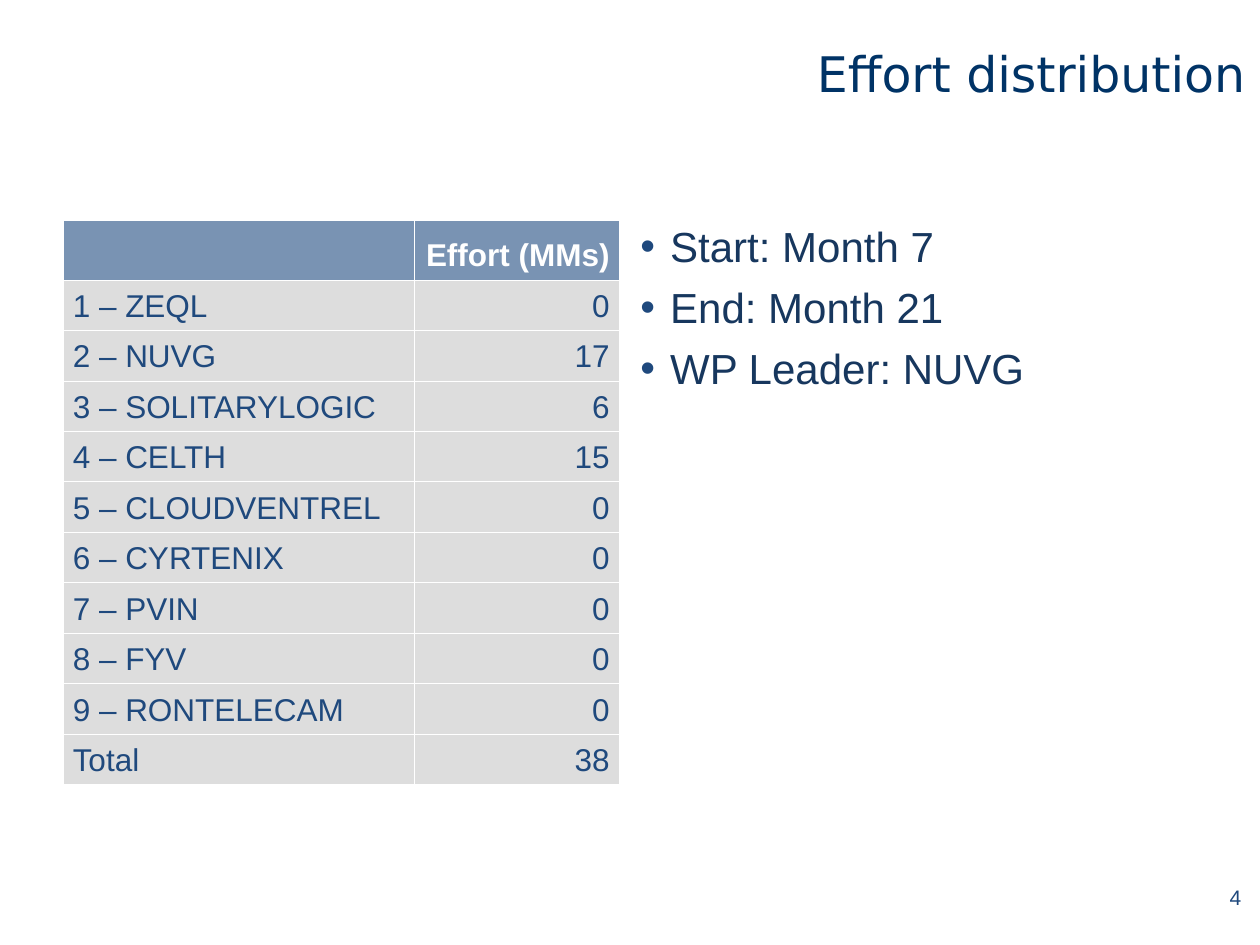
"""Build the effort distribution slide with its partner table and key dates."""
from lxml import etree
from pptx import Presentation
from pptx.dml.color import RGBColor
from pptx.enum.text import MSO_ANCHOR, PP_ALIGN
from pptx.oxml.ns import qn
from pptx.util import Pt

LEFT, RIGHT = PP_ALIGN.LEFT, PP_ALIGN.RIGHT
TOP, MIDDLE, BOTTOM = MSO_ANCHOR.TOP, MSO_ANCHOR.MIDDLE, MSO_ANCHOR.BOTTOM
BLANK_LAYOUT = 6

TITLE_BLUE = RGBColor(0x00, 0x33, 0x66)
HEADER_BLUE = RGBColor(0x79, 0x93, 0xB3)
TEXT_BLUE = RGBColor(0x1F, 0x49, 0x7D)
BULLET_TEXT = RGBColor(0x17, 0x37, 0x5E)
ROW_GREY = RGBColor(0xDD, 0xDD, 0xDD)
WHITE = RGBColor(0xFF, 0xFF, 0xFF)

EFFORT = [
    ("", "Effort (MMs)"),
    ("1 – ZEQL", "0"),
    ("2 – NUVG", "17"),
    ("3 – SOLITARYLOGIC", "6"),
    ("4 – CELTH", "15"),
    ("5 – CLOUDVENTREL", "0"),
    ("6 – CYRTENIX", "0"),
    ("7 – PVIN", "0"),
    ("8 – FYV", "0"),
    ("9 – RONTELECAM", "0"),
    ("Total", "38"),
]
COLUMN_WIDTHS = (201, 117)
HEADER_HEIGHT, ROW_HEIGHT = 34, 28.8
KEY_FACTS = ["Start: Month 7", "End: Month 21", "WP Leader: NUVG"]


def write_paragraph(paragraph, text, size=18, color=TEXT_BLUE, font="Arial",
                    bold=False, align=LEFT, before=0, spacing=None):
    paragraph.alignment = align
    paragraph.space_before = Pt(before)
    if spacing:
        paragraph.line_spacing = spacing
    run = paragraph.add_run()
    run.text = text
    run.font.size = Pt(size)
    run.font.name = font
    run.font.bold = bold
    run.font.color.rgb = color


def add_bullet(paragraph, color, indent):
    properties = paragraph._p.get_or_add_pPr()
    properties.set("marL", str(Pt(indent)))
    properties.set("indent", str(-Pt(indent)))
    bullet_color = etree.SubElement(properties, qn("a:buClr"))
    etree.SubElement(bullet_color, qn("a:srgbClr"), val=str(color))
    etree.SubElement(properties, qn("a:buFont"), typeface="Arial")
    etree.SubElement(properties, qn("a:buChar"), char="•")


def add_text(slide, box, lines, anchor=TOP, margins=(0, 0), bullet=None, **style):
    frame = slide.shapes.add_textbox(*map(Pt, box)).text_frame
    frame.word_wrap = True
    frame.vertical_anchor = anchor
    frame.margin_left = frame.margin_right = Pt(margins[0])
    frame.margin_top = frame.margin_bottom = Pt(margins[1])
    for index, line in enumerate(lines):
        paragraph = frame.add_paragraph() if index else frame.paragraphs[0]
        write_paragraph(paragraph, line, **style)
        if bullet:
            add_bullet(paragraph, bullet, indent=17)


def set_borders(cell, color, width):
    properties = cell._tc.get_or_add_tcPr()
    for position, side in enumerate(("a:lnL", "a:lnR", "a:lnT", "a:lnB")):
        border = etree.Element(qn(side), w=str(Pt(width)))
        fill = etree.SubElement(border, qn("a:solidFill"))
        etree.SubElement(fill, qn("a:srgbClr"), val=str(color))
        properties.insert(position, border)


def add_effort_table(slide, left, top):
    heights = [HEADER_HEIGHT] + [ROW_HEIGHT] * (len(EFFORT) - 1)
    table = slide.shapes.add_table(
        len(EFFORT), len(COLUMN_WIDTHS), Pt(left), Pt(top),
        Pt(sum(COLUMN_WIDTHS)), Pt(sum(heights))).table
    for column, width in zip(table.columns, COLUMN_WIDTHS):
        column.width = Pt(width)
    for row_index, (row, height) in enumerate(zip(table.rows, heights)):
        row.height = Pt(height)
        header = row_index == 0
        for cell, text, align in zip(row.cells, EFFORT[row_index], (LEFT, RIGHT)):
            cell.fill.solid()
            cell.fill.fore_color.rgb = HEADER_BLUE if header else ROW_GREY
            cell.vertical_anchor = BOTTOM
            cell.margin_left = cell.margin_right = Pt(5.6)
            cell.margin_top = cell.margin_bottom = Pt(3.6)
            set_borders(cell, WHITE, 0.45)
            if text:
                write_paragraph(cell.text_frame.paragraphs[0], text, bold=header,
                                color=WHITE if header else TEXT_BLUE,
                                align=align, before=4.5)


def main():
    presentation = Presentation()
    presentation.slide_width, presentation.slide_height = Pt(720), Pt(540)
    slide = presentation.slides.add_slide(presentation.slide_layouts[BLANK_LAYOUT])
    add_text(slide, (281.5, 8.6, 430, 49.7), ["Effort distribution"], anchor=MIDDLE,
             size=28, font="DejaVu Sans", color=TITLE_BLUE, align=RIGHT,
             before=7, spacing=1.5)
    add_effort_table(slide, 36, 126)
    add_text(slide, (366, 126, 318, 356.4), KEY_FACTS, bullet=TEXT_BLUE,
             size=24, color=BULLET_TEXT, before=6)
    add_text(slide, (671.8, 498.2, 44.6, 28.8), ["4"], anchor=MIDDLE,
             margins=(7.2, 3.6), size=12, align=RIGHT)
    presentation.save("out.pptx")


if __name__ == "__main__":
    main()
